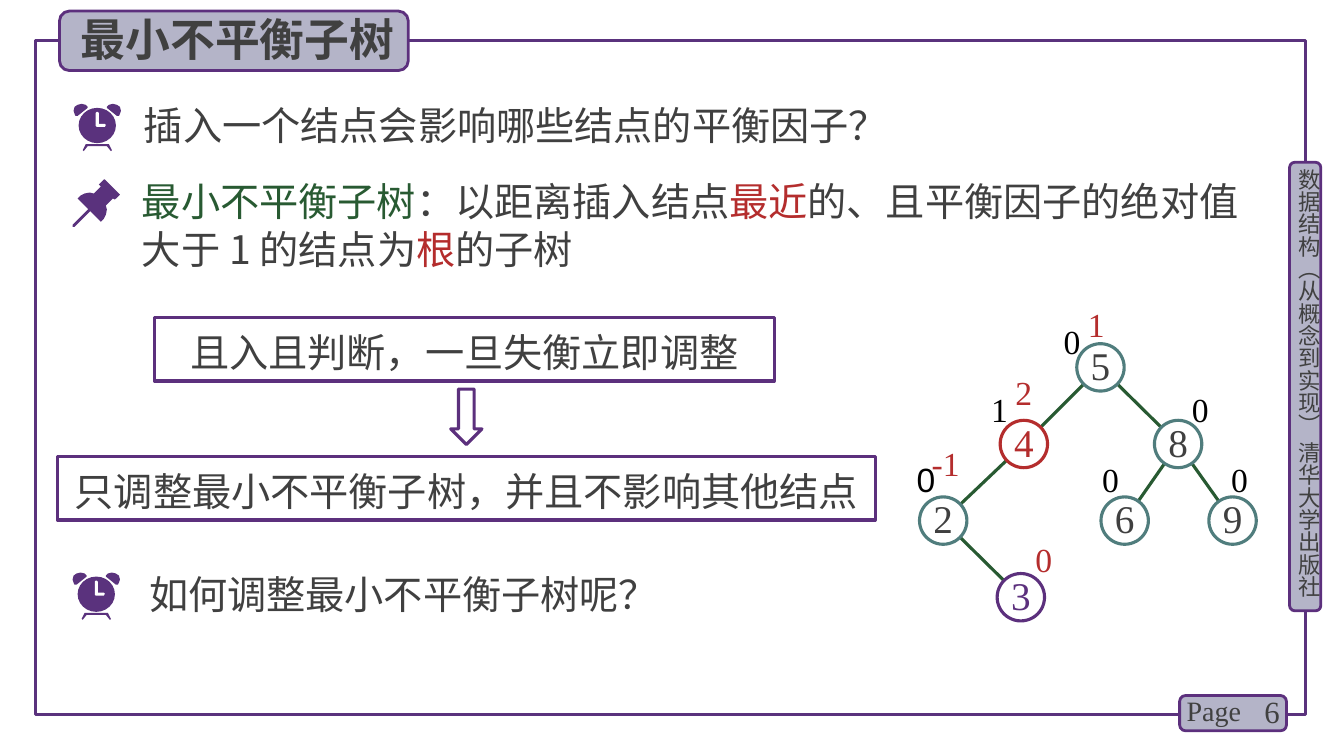
"""Build the slide on the minimal unbalanced subtree of a balanced binary tree."""
from math import hypot

from lxml.etree import SubElement
from pptx import Presentation
from pptx.dml.color import RGBColor
from pptx.enum.shapes import MSO_CONNECTOR, MSO_SHAPE
from pptx.enum.text import MSO_ANCHOR, MSO_AUTO_SIZE, PP_ALIGN
from pptx.oxml.ns import qn
from pptx.util import Inches, Pt

SANS, SERIF, ARIAL = "Noto Sans CJK SC", "Times New Roman", "Arial"
PURPLE, INDIGO, LILAC, GREY = "5C307D", "5A327D", "B4B4C8", "404040"
GREEN, RED, TEAL, BLACK, WHITE = "285A32", "B42D2D", "507D7D", "000000", "FFFFFF"

TITLE = "最小不平衡子树"
BADGES = [(12.79, 1.61, 0.31, 4.45), (11.7, 6.9, 1.06, 0.35), (0.59, 0.11, 3.46, 0.59)]
SIDE_TEXT = "数据结构（从概念到实现） 清华大学出版社"
QUESTIONS = [
    ((1.33, 0.96, 7.86, 0.57), "插入一个结点会影响哪些结点的平衡因子？"),
    ((1.38, 5.61, 5.7, 0.57), "如何调整最小不平衡子树呢？"),
]
DEFINITION = [
    ("最小不平衡子树", GREEN), ("：以距离插入结点", GREY), ("最近", RED),
    ("的、且平衡因子的绝对值大于 1 的结点为", GREY), ("根", RED), ("的子树", GREY),
]
STEPS = [
    ((1.53, 3.15, 6.15, 0.63), "且入且判断，一旦失衡立即调整"),
    ((0.57, 4.53, 8.11, 0.63), "只调整最小不平衡子树，并且不影响其他结点"),
]

TREE_TOP, LEVEL, DIAMETER = 3.41, 0.76, 0.47
NODES = {
    "5": (10.68, 0, TEAL, GREY), "4": (9.92, 1, RED, RED), "8": (11.45, 1, TEAL, GREY),
    "2": (9.12, 2, TEAL, GREY), "6": (10.92, 2, TEAL, GREY), "9": (11.99, 2, TEAL, GREY),
    "3": (9.89, 3, PURPLE, PURPLE),
}
EDGES = ["54", "58", "42", "86", "89", "23"]
FACTORS = [
    ("0", 10.55, 3.18, BLACK, SERIF), ("1", 9.83, 3.86, BLACK, SERIF),
    ("0", 11.82, 3.86, BLACK, SERIF), ("0", 9.09, 4.55, BLACK, ARIAL),
    ("0", 10.93, 4.55, BLACK, SERIF), ("0", 12.21, 4.55, BLACK, SERIF),
    ("1", 10.79, 3.02, RED, SERIF), ("2", 10.07, 3.69, RED, SERIF),
    ("-1", 9.24, 4.39, RED, SERIF), ("0", 10.27, 5.35, RED, SERIF),
]

CLOCKS = [(0.73, 1.03), (0.72, 5.68)]
CLOCK_WIDTH = 0.47
BELL = [(0.08, 0), (0.04, 0.01), (0.01, 0.03), (0, 0.07), (0.01, 0.1), (0.02, 0.12),
        (0.04, 0.12), (0.14, 0.04), (0.14, 0.03), (0.12, 0.01)]
FEET = [(0.38, 0.46), (0.35, 0.4), (0.12, 0.4), (0.09, 0.46), (0.1, 0.47), (0.14, 0.42),
        (0.33, 0.42), (0.37, 0.47)]
HANDS = [(0.22, 0.09), (0.23, 0.08), (0.24, 0.08), (0.25, 0.09), (0.25, 0.2), (0.31, 0.2),
         (0.32, 0.21), (0.31, 0.23), (0.23, 0.23), (0.22, 0.22)]
PIN_AT = (0.72, 1.78)
PIN_HEAD = [(0.47, 0.15), (0.32, 0), (0.31, 0), (0.26, 0.05), (0.28, 0.07), (0.21, 0.14),
            (0.17, 0.13), (0.12, 0.14), (0.08, 0.16), (0.05, 0.19), (0.28, 0.42), (0.31, 0.39),
            (0.33, 0.35), (0.34, 0.3), (0.33, 0.26), (0.4, 0.19), (0.42, 0.2)]
PIN_NEEDLE = [(0.02, 0.47), (0, 0.47), (0, 0.45), (0.16, 0.29), (0.18, 0.29), (0.18, 0.31)]

deck = Presentation()
deck.slide_width, deck.slide_height = Inches(13.33), Inches(7.5)
page = deck.slides.add_slide(deck.slide_layouts[5])


def colour(text):
    return RGBColor.from_string(text)


def paint(shape, fill=None, line=None, width=2.25):
    shape.shadow.inherit = False
    if fill:
        shape.fill.solid()
        shape.fill.fore_color.rgb = colour(fill)
    else:
        shape.fill.background()
    if line:
        shape.line.color.rgb = colour(line)
        shape.line.width = Pt(width)
    else:
        shape.line.fill.background()
    return shape


def preset(kind, place, **style):
    return paint(page.shapes.add_shape(kind, *map(Inches, place)), **style)


def outline(origin, points, fill):
    spots = [(Inches(origin[0] + x), Inches(origin[1] + y)) for x, y in points]
    builder = page.shapes.build_freeform(*spots[0])
    builder.add_line_segments(spots[1:])
    paint(builder.convert_to_shape(), fill=fill)


def write(shape, spans, size, font=SANS, ink=GREY, bold=False, align=PP_ALIGN.LEFT,
          spacing=None, anchor=MSO_ANCHOR.TOP, inset=None, wrap=True):
    frame = shape.text_frame
    frame.word_wrap, frame.auto_size, frame.vertical_anchor = wrap, MSO_AUTO_SIZE.NONE, anchor
    if inset is not None:
        frame.margin_left = frame.margin_right = frame.margin_top = frame.margin_bottom = inset
    para = frame.paragraphs[0]
    para.alignment = align
    if spacing:
        para.line_spacing = Pt(spacing)
    para.font.name, para.font.size, para.font.bold = font, Pt(size), bold
    para.font.color.rgb = colour(ink)
    SubElement(para.font._element, qn("a:ea"), typeface=font)
    for text, tint in [(spans, ink)] if isinstance(spans, str) else spans:
        span = para.add_run()
        span.text = text
        if tint != ink:
            span.font.color.rgb = colour(tint)
    return frame


def label(place, spans, size, **style):
    return write(page.shapes.add_textbox(*map(Inches, place)), spans, size, **style)


def centre(name):
    left, level, _, _ = NODES[name]
    return left + DIAMETER / 2, TREE_TOP + level * LEVEL + DIAMETER / 2


def edge(parent, child):
    (x1, y1), (x2, y2) = centre(parent), centre(child)
    share = DIAMETER / 2 / hypot(x2 - x1, y2 - y1)
    dx, dy = (x2 - x1) * share, (y2 - y1) * share
    ends = map(Inches, (x1 + dx, y1 + dy, x2 - dx, y2 - dy))
    line = page.shapes.add_connector(MSO_CONNECTOR.STRAIGHT, *ends)
    line.line.color.rgb, line.line.width = colour(GREEN), Pt(2.25)
    SubElement(line._element.spPr, qn("a:effectLst"))


def clock(left, top):
    outline((left, top), FEET, INDIGO)
    outline((left, top), BELL, INDIGO)
    outline((left, top), [(CLOCK_WIDTH - x, y) for x, y in BELL], INDIGO)
    preset(MSO_SHAPE.OVAL, (left + 0.05, top + 0.04, 0.37, 0.35), fill=INDIGO)
    outline((left, top), HANDS, WHITE)


def main():
    preset(MSO_SHAPE.RECTANGLE, (0.35, 0.4, 12.6, 6.69), line=INDIGO)
    for place in BADGES:
        preset(MSO_SHAPE.ROUNDED_RECTANGLE, place, fill=LILAC, line=PURPLE, width=2)
    side = label((12.85, 1.67, 0.27, 4.49), SIDE_TEXT, 16, inset=0)
    side._txBody.bodyPr.set("vert", "eaVert")
    label((12.2, 6.86, 0.59, 0.4), "6", 22, font=SERIF, align=PP_ALIGN.RIGHT,
          anchor=MSO_ANCHOR.MIDDLE)
    label((11.67, 6.83, 0.78, 0.44), "Page", 20, font=SERIF)

    title = page.shapes.title
    title.left, title.top, title.width, title.height = map(Inches, (0.7, 0.07, 3.4, 0.64))
    write(title, TITLE, 32, bold=True)
    page.shapes._spTree.append(title._element)

    for place, text in QUESTIONS:
        label(place, text, 28)
    for spot in CLOCKS:
        clock(*spot)
    label((1.31, 1.71, 11.09, 1.04), DEFINITION, 28, spacing=34)
    outline(PIN_AT, PIN_HEAD, INDIGO)
    outline(PIN_AT, PIN_NEEDLE, INDIGO)

    for place, text in STEPS:
        write(preset(MSO_SHAPE.RECTANGLE, place, line=PURPLE), text, 28,
              align=PP_ALIGN.CENTER, spacing=38, anchor=MSO_ANCHOR.TOP)
    preset(MSO_SHAPE.DOWN_ARROW, (4.47, 3.86, 0.31, 0.55), line=PURPLE)

    for parent, child in EDGES:
        edge(parent, child)
    for name, (left, level, ring, ink) in NODES.items():
        place = (left, TREE_TOP + level * LEVEL, DIAMETER, DIAMETER)
        write(preset(MSO_SHAPE.OVAL, place, line=ring), name, 28, font=SERIF, ink=ink,
              align=PP_ALIGN.CENTER, spacing=30, anchor=MSO_ANCHOR.MIDDLE, wrap=False)
    for text, left, top, ink, font in FACTORS:
        label((left, top, 0.42, 0.4), text, 24, font=font, ink=ink, inset=0)

    deck.save("out.pptx")


if __name__ == "__main__":
    main()
